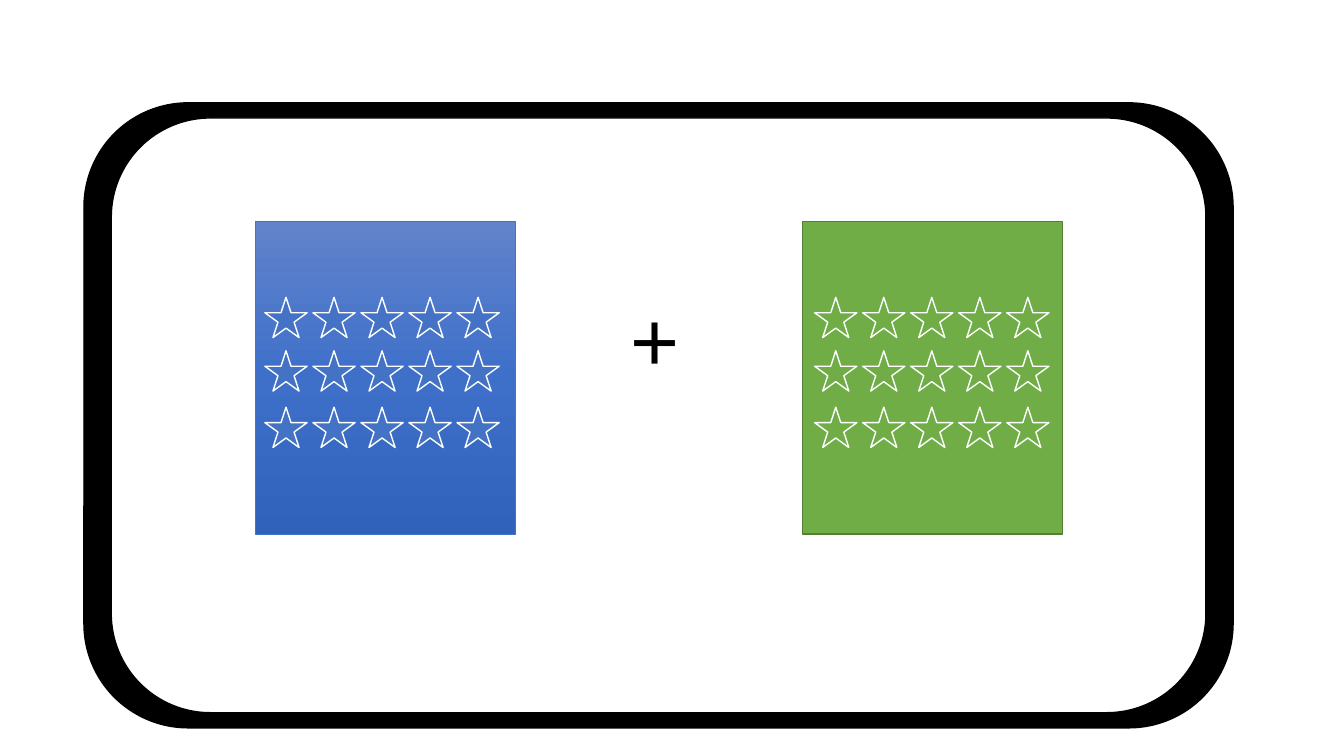
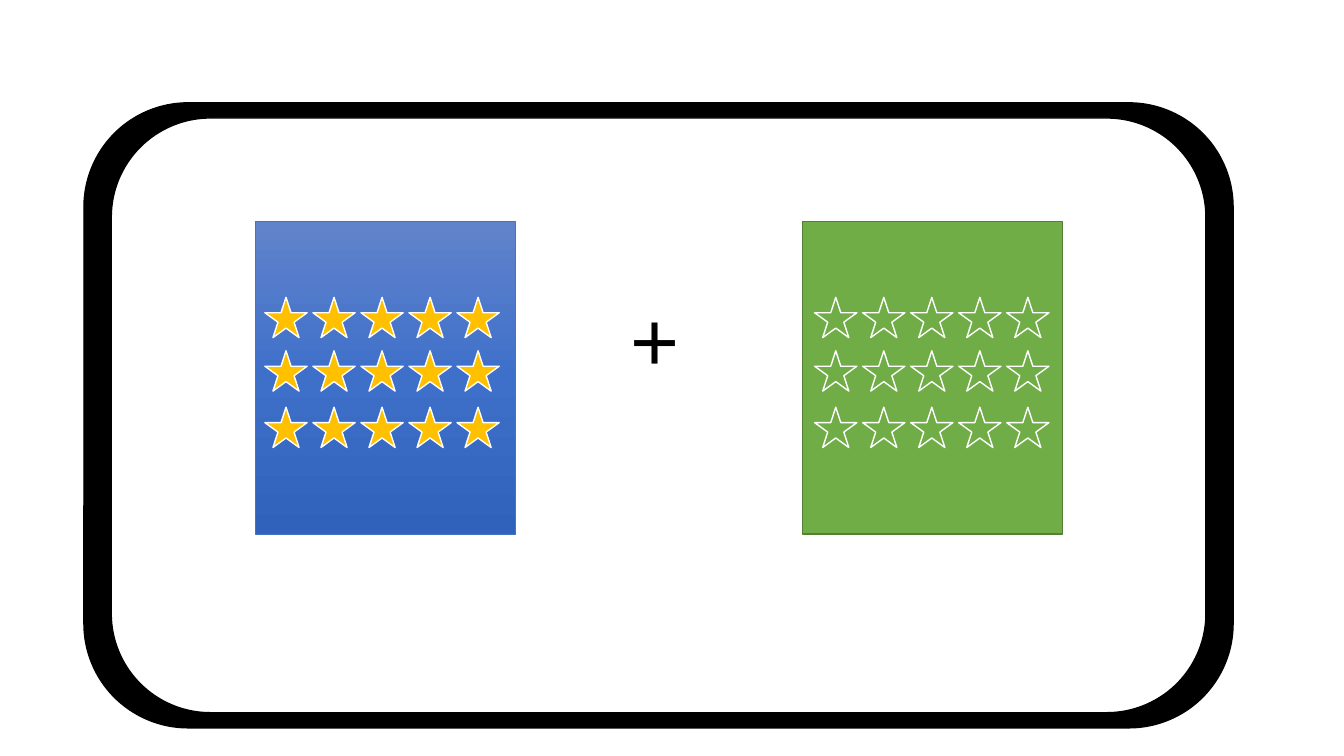
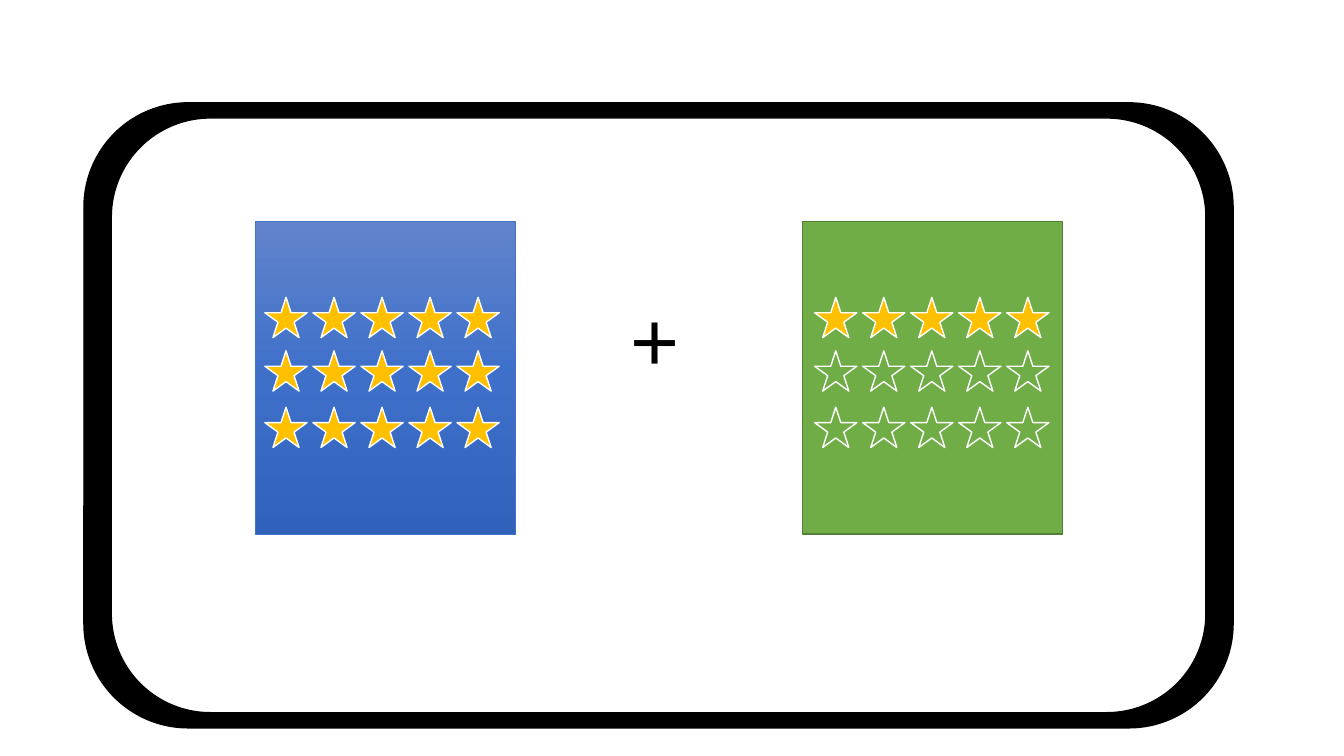
"""Build three slides that add two cards of stars inside a thick frame."""
from copy import deepcopy
from dataclasses import dataclass
from itertools import product

from pptx import Presentation
from pptx.dml.color import RGBColor
from pptx.enum.shapes import MSO_SHAPE
from pptx.enum.text import MSO_AUTO_SIZE
from pptx.oxml.ns import qn
from pptx.util import Pt


@dataclass(frozen=True)
class Theme:
    black: str = "000000"
    white: str = "FFFFFF"
    blue: str = "4472C4"
    green: str = "70AD47"
    moss: str = "538035"
    gold: str = "FFC000"
    fade: tuple = ("6183CB", "3E70CA", "3062BB")
    font: str = "Arial"
    size: int = 60
    thin: float = 0.5
    line: float = 1


THEME = Theme()
COLS = 5
STEP = 34.3
ROWS = (212.4, 250.6, 290.9)
STAR = (30.2, 28.8)
CARD = (158.4, 185.8, 223.2)
LEFT, RIGHT = 182.2, 573.1
STARS = ((LEFT + 7, THEME.blue), (RIGHT + 8.8, THEME.green))
STEPS = ((0, 0), (3, 0), (3, 1))


def rgb(code):
    return RGBColor.from_string(code)


def add_box(shapes, kind, box, fill, edge, width=THEME.line):
    shape = shapes.add_shape(kind, *map(Pt, box))
    shape.shadow.inherit = False
    shape.line.color.rgb = rgb(edge)
    shape.line.width = Pt(width)
    if isinstance(fill, str):
        shape.fill.solid()
        shape.fill.fore_color.rgb = rgb(fill)
    else:
        add_fade(shape, fill)


def add_fade(shape, codes):
    shape.fill.gradient()
    shape.fill.gradient_angle = 270
    stops = shape.element.spPr.find(qn("a:gradFill")).find(qn("a:gsLst"))
    for _ in codes[2:]:
        stops.insert(1, deepcopy(stops[0]))
    for i, (stop, code) in enumerate(zip(shape.fill.gradient_stops, codes)):
        stop.position = i / (len(codes) - 1)
        stop.color.rgb = rgb(code)


def add_frame(shapes):
    for box, fill in (
        ((60, 73.5, 820.8, 446.4), THEME.black),
        ((79.5, 84.3, 781.9, 424.8), THEME.white),
    ):
        add_box(shapes, MSO_SHAPE.ROUNDED_RECTANGLE, box, fill, THEME.black)


def add_cards(shapes):
    for left, fill, edge, width in (
        (LEFT, THEME.fade, THEME.blue, THEME.thin),
        (RIGHT, THEME.green, THEME.moss, THEME.line),
    ):
        add_box(shapes, MSO_SHAPE.RECTANGLE, (left, *CARD), fill, edge, width)


def add_plus(shapes):
    frame = shapes.add_textbox(*map(Pt, (443.5, 201.6, 53.3, 80))).text_frame
    frame.word_wrap = True
    frame.auto_size = MSO_AUTO_SIZE.SHAPE_TO_FIT_TEXT
    run = frame.paragraphs[0].add_run()
    run.text = "+"
    run.font.name = THEME.font
    run.font.size = Pt(THEME.size)
    run.font.color.rgb = rgb(THEME.black)


def add_stars(shapes, left, base, lit):
    group = shapes.add_group_shape()
    for (row, top), col in product(enumerate(ROWS), range(COLS)):
        fill = THEME.gold if row < lit else base
        box = (left + col * STEP, top, *STAR)
        add_box(group.shapes, MSO_SHAPE.STAR_5_POINT, box, fill, THEME.white)


def main():
    deck = Presentation()
    deck.slide_width, deck.slide_height = Pt(960), Pt(540)
    for counts in STEPS:
        shapes = deck.slides.add_slide(deck.slide_layouts[6]).shapes
        add_frame(shapes)
        add_cards(shapes)
        add_plus(shapes)
        for (left, base), lit in zip(STARS, counts):
            add_stars(shapes, left, base, lit)
    deck.save("out.pptx")


if __name__ == "__main__":
    main()
